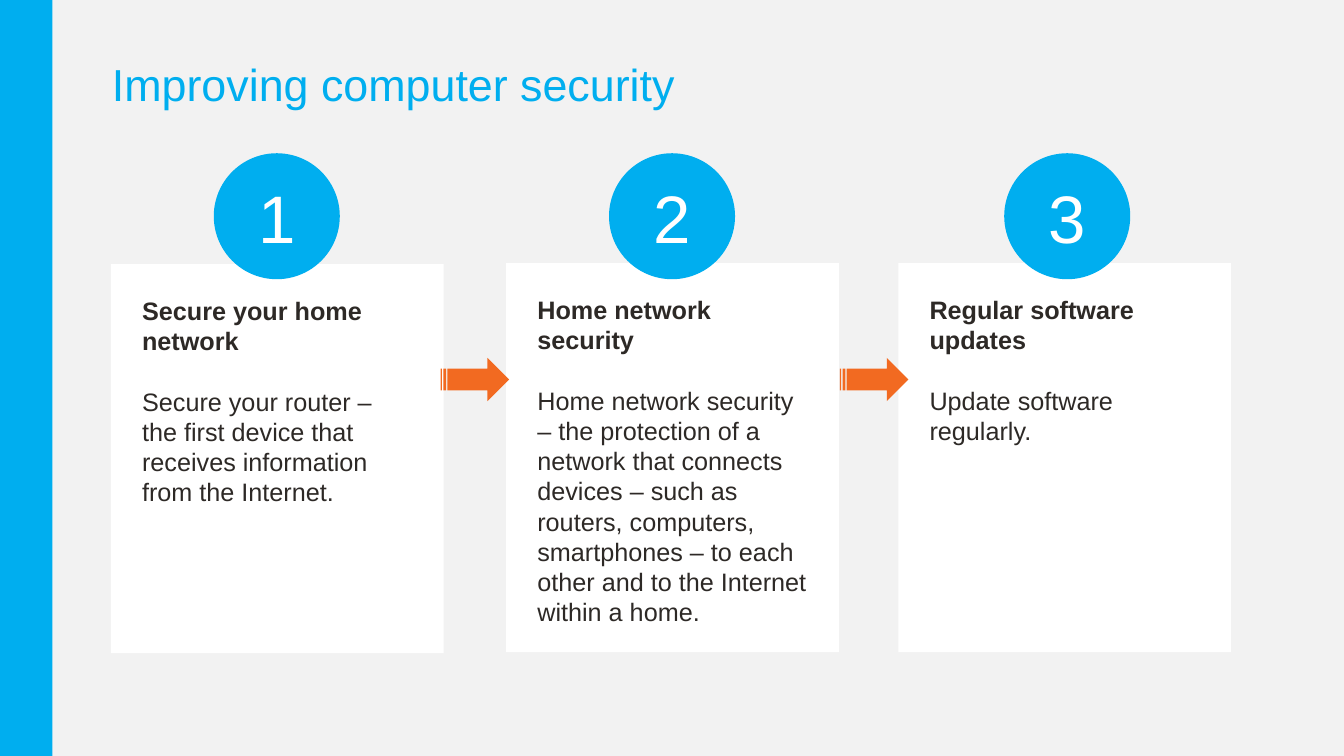
import pptx
import pptx.dml.color
import pptx.enum.shapes
import pptx.enum.text
import pptx.util

PX = 9144  # EMU per px, 100 px to the inch
THEME = {
    "font": "Arial",
    "page": "F2F2F2", "accent": "00AEEF", "card": "FFFFFF",
    "arrow": "F26A21", "ink": "2D2926",
    "title": 32, "number": 48, "body": 18, "line": 21.6,
}
SHAPE = pptx.enum.shapes.MSO_SHAPE
ALIGN = pptx.enum.text.PP_ALIGN
ANCHOR = pptx.enum.text.MSO_ANCHOR


def add_shape(kind, x, y, w, h, fill):
    sp = slide.shapes.add_shape(kind, x * PX, y * PX, w * PX, h * PX)
    sp.shadow.inherit = False
    sp.fill.solid()
    sp.fill.fore_color.rgb = pptx.dml.color.RGBColor.from_string(THEME[fill])
    sp.line.fill.background()
    return sp


def style(p, size, color, bold=False, align=ALIGN.LEFT):
    p.alignment = align
    for r in p.runs:
        r.font.name = THEME["font"]
        r.font.size = pptx.util.Pt(THEME[size])
        r.font.bold = bold
        r.font.color.rgb = pptx.dml.color.RGBColor.from_string(THEME[color])


prs = pptx.Presentation()
prs.slide_width, prs.slide_height = 1333 * PX, 750 * PX
slide = prs.slides.add_slide(prs.slide_layouts[6])

# Background and side band
add_shape(SHAPE.RECTANGLE, 0, 0, 1333, 750, "page")
add_shape(SHAPE.RECTANGLE, 0, 0, 52, 750, "accent")

# Title
title = slide.shapes.add_textbox(111 * PX, 22 * PX, 948 * PX, 129 * PX)
tf = title.text_frame
tf.word_wrap = True
tf.vertical_anchor = ANCHOR.MIDDLE
tf.margin_left = tf.margin_top = tf.margin_right = tf.margin_bottom = 0
tf.text = "Improving computer security"
tf.paragraphs[0].line_spacing = 0.9
style(tf.paragraphs[0], "title", "accent")

# Cards
cards = [
    (110, 262, "Secure your home network",
     "Secure your router – the first device that receives information "
     "from the Internet."),
    (502, 261, "Home network security",
     "Home network security – the protection of a network that connects "
     "devices – such as routers, computers, smartphones – to each other "
     "and to the Internet within a home."),
    (891, 261, "Regular software updates", "Update software regularly."),
]
for x, y, heading, body in cards:
    sp = add_shape(SHAPE.RECTANGLE, x, y, 330, 386, "card")
    tf = sp.text_frame
    tf.word_wrap = True
    tf.vertical_anchor = ANCHOR.TOP
    tf.margin_left = tf.margin_top = tf.margin_right = 31 * PX
    tf.margin_bottom = 5 * PX
    tf.text = heading
    style(tf.paragraphs[0], "body", "ink", bold=True)
    p = tf.add_paragraph()
    p.text = body
    p.space_before = pptx.util.Pt(THEME["line"])
    style(p, "body", "ink")
    for p in tf.paragraphs:
        p.line_spacing = pptx.util.Pt(THEME["line"])

# Arrows between the cards
for x in (437, 833):
    add_shape(SHAPE.STRIPED_RIGHT_ARROW, x, 355, 68, 43, "arrow")

# Numbered circles
for i in range(len(cards)):
    sp = add_shape(SHAPE.OVAL, 212 + 392 * i, 152, 125, 125, "accent")
    tf = sp.text_frame
    tf.vertical_anchor = ANCHOR.MIDDLE
    tf.text = str(i + 1)
    style(tf.paragraphs[0], "number", "card", align=ALIGN.CENTER)

prs.save("out.pptx")
